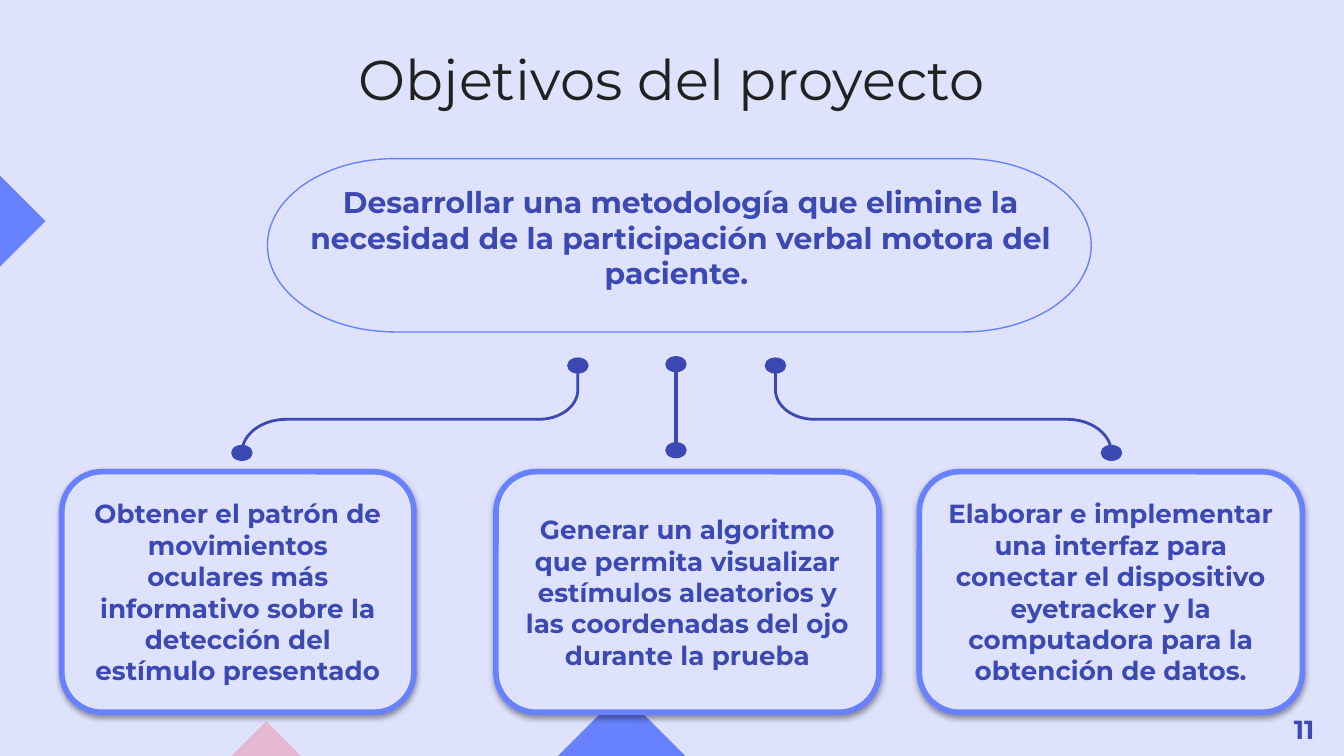
from math import cos, pi, sin

from lxml import etree
from pptx import Presentation
from pptx.dml.color import RGBColor
from pptx.enum.shapes import MSO_CONNECTOR, MSO_SHAPE
from pptx.enum.text import MSO_ANCHOR, PP_ALIGN
from pptx.oxml import parse_xml
from pptx.oxml.ns import qn
from pptx.util import Inches, Pt

FONT = "Montserrat"
LAVENDER = RGBColor(0xDE, 0xE2, 0xFD)
BLUE = RGBColor(0x68, 0x81, 0xFE)
PINK = RGBColor(0xE5, 0xB8, 0xD3)
INDIGO = RGBColor(0x3C, 0x49, 0xB2)
INK = RGBColor(0x21, 0x21, 0x21)
CENTER, LEFT = PP_ALIGN.CENTER, PP_ALIGN.LEFT
TOP, MIDDLE = MSO_ANCHOR.TOP, MSO_ANCHOR.MIDDLE
STRAIGHT = MSO_CONNECTOR.STRAIGHT

TITLE = "Objetivos del proyecto"
GOAL = ("Desarrollar una metodología que elimine la necesidad de la "
        "participación verbal motora del paciente. ")
PAGE_NUMBER = "11"

CARD_TOP, CARD_HEIGHT = 3.51, 1.79
CARDS = [  # left, width, text
    (0.46, 2.62, "Obtener el patrón de movimientos oculares más informativo "
                 "sobre la detección del estímulo presentado"),
    (3.69, 2.85, "Generar un algoritmo que permita visualizar estímulos "
                 "aleatorios y las coordenadas del ojo durante la prueba"),
    (6.84, 2.85, "Elaborar e implementar una interfaz para conectar el "
                 "dispositivo eyetracker y la computadora para la obtención "
                 "de datos."),
]
DIAMONDS = [  # left, top, side, colour
    (-1.17, 1.02, 1.25, BLUE),
    (1.66, 5.5, 0.64, PINK),
    (4, 5.41, 1.25, BLUE),
]
PILL_LEFT, PILL_TOP, PILL_RIGHT, PILL_BOTTOM = 1.99, 1.18, 8.12, 2.47
PILL_CORNER = 0.95
BRANCH_START, BRANCH_END, BRANCH_MIDDLE = (4.3, 2.72), (1.8, 3.37), 3.12
MIRROR = 10.07  # sum of the x positions of the left and right branches
STEM_START, STEM_END = (5.03, 2.71), (5.03, 3.35)
DOT_WIDTH, DOT_HEIGHT = 0.16, 0.12


def arc(center_x, center_y, radius_x, radius_y, start, end, steps=24):
    """Points along an elliptical arc; angles in quarter turns, clockwise."""
    angles = [(start + (end - start) * i / steps) * pi / 2
              for i in range(steps + 1)]
    return [(center_x + radius_x * cos(a), center_y + radius_y * sin(a))
            for a in angles]


def add_outline(points, color, weight, close):
    corners = [(Inches(x), Inches(y)) for x, y in points]
    builder = page.shapes.build_freeform(*corners[0])
    builder.add_line_segments(corners[1:], close=close)
    outline = builder.convert_to_shape()
    outline.shadow.inherit = False
    outline.fill.background()
    outline.line.color.rgb = color
    outline.line.width = Pt(weight)


def add_filled(kind, left, top, width, height, color):
    shape = page.shapes.add_shape(kind, Inches(left), Inches(top),
                                  Inches(width), Inches(height))
    shape.shadow.inherit = False
    shape.fill.solid()
    shape.fill.fore_color.rgb = color
    shape.line.fill.background()
    return shape


def add_dot(x, y):
    add_filled(MSO_SHAPE.OVAL, x - DOT_WIDTH / 2, y - DOT_HEIGHT / 2,
               DOT_WIDTH, DOT_HEIGHT, INDIGO)


def write(shape, text, size, color=INDIGO, bold=True, align=CENTER):
    frame = shape.text_frame
    frame.text = text
    paragraph = frame.paragraphs[0]
    paragraph.alignment = align
    font = paragraph.font
    font.name, font.size, font.bold = FONT, Pt(size), bold
    font.color.rgb = color
    return frame


def add_soft_shadow(shape):
    effects = shape._element.spPr.find(qn("a:effectLst"))
    effects.append(parse_xml(
        '<a:outerShdw xmlns:a="http://schemas.openxmlformats.org/drawingml/2006/main"'
        f' blurRad="{Pt(3.1)}" dist="{Pt(1.6)}" dir="5400000" rotWithShape="0">'
        '<a:srgbClr val="000000"><a:alpha val="38000"/></a:srgbClr>'
        '</a:outerShdw>'))


deck = Presentation()
deck.slide_width = Inches(10)
deck.slide_height = deck.slide_width * 9 // 16
page = deck.slides.add_slide(deck.slide_layouts[5])
page.background.fill.solid()
page.background.fill.fore_color.rgb = LAVENDER

for left, top, side, color in DIAMONDS:
    add_filled(MSO_SHAPE.RECTANGLE, left, top, side, side, color).rotation = 45

title = page.shapes.title
title.left, title.top = Inches(1.99), Inches(0.23)
title.width, title.height = Inches(6.02), Inches(0.73)
frame = write(title, TITLE, 30, INK, bold=False)
frame.vertical_anchor = TOP
frame.margin_top = frame.margin_bottom = Inches(0.1)

goal = page.shapes.add_textbox(Inches(1.71), Inches(1.13),
                               Inches(6.57), Inches(1.27))
frame = write(goal, GOAL, 16)
frame.word_wrap = True
frame.vertical_anchor = MIDDLE
frame.margin_top = frame.margin_bottom = frame.margin_right = Inches(0.1)
frame.margin_left = Inches(0.24)

for left, width, text in CARDS:
    card = add_filled(MSO_SHAPE.ROUNDED_RECTANGLE, left, CARD_TOP,
                      width, CARD_HEIGHT, LAVENDER)
    card.line.color.rgb = BLUE
    card.line.width = Pt(3)
    add_soft_shadow(card)
    write(card, text, 14).vertical_anchor = MIDDLE

radius = (PILL_BOTTOM - PILL_TOP) / 2
pill_middle = PILL_TOP + radius
pill = (arc(PILL_LEFT + PILL_CORNER, pill_middle, PILL_CORNER, radius, 1, 3, 48)
        + arc(PILL_RIGHT - PILL_CORNER, pill_middle, PILL_CORNER, radius, 3, 5, 48))
add_outline(pill, BLUE, 0.75, close=True)

start_x, start_y = BRANCH_START
end_x, end_y = BRANCH_END
branch = ([BRANCH_START]
          + arc(start_x - 0.29, 2.9, 0.29, BRANCH_MIDDLE - 2.9, 0, 1)
          + arc(end_x + 0.33, end_y, 0.33, end_y - BRANCH_MIDDLE, 3, 2))
for points in (branch, [(MIRROR - x, y) for x, y in branch]):
    add_outline(points, INDIGO, 1.5, close=False)
    add_dot(*points[0])
    add_dot(*points[-1])

stem = page.shapes.add_connector(STRAIGHT, *map(Inches, STEM_START + STEM_END))
stem.line.color.rgb = INDIGO
stem.line.width = Pt(1.75)
etree.SubElement(stem._element.spPr, qn("a:effectLst"))
add_dot(*STEM_START)
add_dot(*STEM_END)

number = page.shapes.add_textbox(Inches(9.53), Inches(5.26),
                                 Inches(0.43), Inches(0.34))
write(number, PAGE_NUMBER, 14, align=LEFT)

deck.save("out.pptx")
